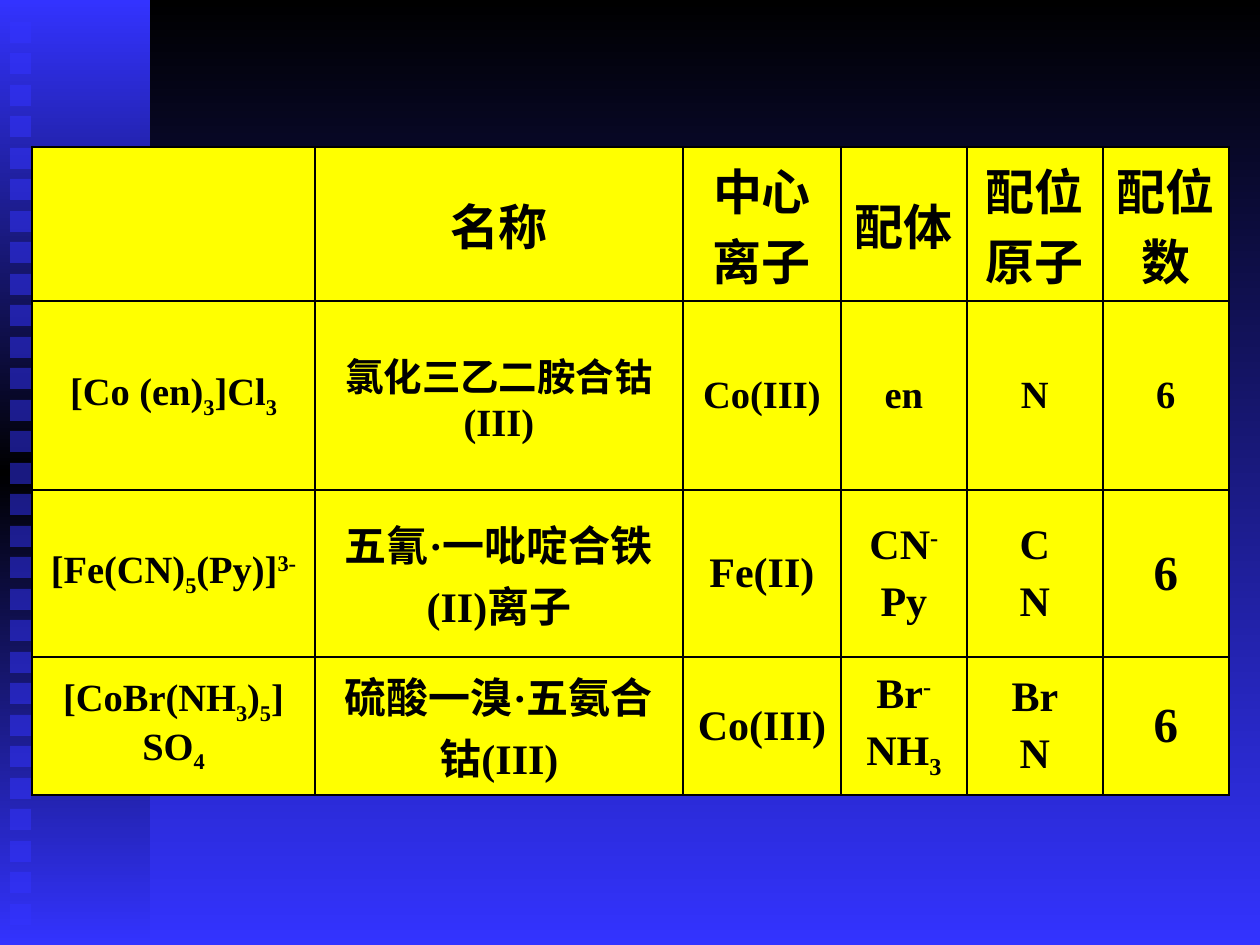
"""Builds a slide with a table of coordination compounds on a blue gradient."""
from copy import deepcopy

from pptx import Presentation
from pptx.dml.color import RGBColor
from pptx.enum.shapes import MSO_SHAPE
from pptx.enum.text import MSO_ANCHOR, PP_ALIGN
from pptx.oxml import parse_xml
from pptx.oxml.ns import nsdecls, qn
from pptx.util import Pt

RECT = MSO_SHAPE.RECTANGLE
MIDDLE = MSO_ANCHOR.MIDDLE
CENTER = PP_ALIGN.CENTER
PX = 914400 // 126
FONT = "Times New Roman"
BLACK, BLUE, YELLOW = "000000", "3333FF", "FFFF00"
BASELINES = {"_": "-25000", "^": "30000"}

ROWS = [
    ["", "名称", "中心离子", "配体", "配位原子", "配位数"],
    ["[Co (en)|_3|]Cl|_3", "氯化三乙二胺合钴(III)", "Co(III)", "en", "N", "6"],
    ["[Fe(CN)|_5|(Py)]|^3-", "五氰·一吡啶合铁(II)离子", "Fe(II)",
     "CN|^-\nPy", "C\nN", "6"],
    ["[CoBr(NH|_3|)|_5|] SO|_4", "硫酸一溴·五氨合钴(III)", "Co(III)",
     "Br|^-\nNH|_3", "Br\nN", "6"],
]
SIZES = [[28] * 6, [22] * 6] + [[22, 24, 24, 24, 24, 28]] * 2
COL_WIDTHS = [283, 368, 158, 126, 136, 126]
ROW_HEIGHTS = [146, 189, 167, 138]
TABLE_LEFT, TABLE_TOP = 32, 147
SQUARE_COUNT, SQUARE_SIZE, SQUARE_LEFT, SQUARE_TOP = 29, 21, 10, 22


def rgb(value):
    return RGBColor.from_string(value)


def set_gradient(fill, element, colors):
    fill.gradient()
    fill.gradient_angle = 270
    stops = element.find(".//" + qn("a:gsLst"))
    while len(stops) < len(colors):
        stops.append(deepcopy(stops[0]))
    for i, (stop, color) in enumerate(zip(fill.gradient_stops, colors)):
        stop.color.rgb = rgb(color)
        stop.position = i / (len(colors) - 1)


def add_rect(s, x, y, w, h):
    sp = s.shapes.add_shape(RECT, x * PX, y * PX, w * PX, h * PX)
    sp.shadow.inherit = False
    sp.line.fill.background()
    return sp


def add_square(s, y):
    sp = add_rect(s, SQUARE_LEFT, y, SQUARE_SIZE, SQUARE_SIZE)
    sp.fill.solid()
    sp.fill.fore_color.rgb = rgb(BLUE)
    color = sp._element.spPr.find(".//" + qn("a:srgbClr"))
    color.append(parse_xml(f'<a:alpha {nsdecls("a")} val="50000"/>'))


def write_text(tf, text, size, color=BLACK, bold=True):
    for i, line in enumerate(text.split("\n")):
        p = tf.add_paragraph() if i else tf.paragraphs[0]
        p.alignment = CENTER
        if i:
            p.space_before = Pt(size / 4)
        for part in filter(None, line.split("|")):
            r = p.add_run()
            r.text = part.lstrip("_^")
            r.font.name, r.font.size, r.font.bold = FONT, Pt(size), bold
            r.font.color.rgb = rgb(color)
            if part[0] in BASELINES:
                r.font._element.set("baseline", BASELINES[part[0]])


def format_cell(cell):
    props = cell._tc.get_or_add_tcPr()
    for side in "LRTB":
        props.append(parse_xml(
            f'<a:ln{side} {nsdecls("a")} w="{Pt(1.47)}"><a:solidFill>'
            f'<a:srgbClr val="{BLACK}"/></a:solidFill></a:ln{side}>'))
    cell.fill.solid()
    cell.fill.fore_color.rgb = rgb(YELLOW)
    cell.vertical_anchor = MIDDLE


def add_compounds(s):
    table = s.shapes.add_table(
        len(ROWS), len(COL_WIDTHS), TABLE_LEFT * PX, TABLE_TOP * PX,
        sum(COL_WIDTHS) * PX, sum(ROW_HEIGHTS) * PX).table
    table.first_row = table.horz_banding = False
    for col, width in zip(table.columns, COL_WIDTHS):
        col.width = width * PX
    for row, height, texts, sizes in zip(table.rows, ROW_HEIGHTS, ROWS, SIZES):
        row.height = height * PX
        for cell, text, size in zip(row.cells, texts, sizes):
            format_cell(cell)
            write_text(cell.text_frame, text, size)


def main():
    prs = Presentation()
    prs.slide_width, prs.slide_height = 1260 * PX, 945 * PX
    s = prs.slides.add_slide(prs.slide_layouts[6])
    set_gradient(s.background.fill, s._element, [BLACK, BLUE])
    band = add_rect(s, 0, 0, 150, 945)
    set_gradient(band.fill, band._element, [BLUE, BLACK, BLUE])
    for i in range(SQUARE_COUNT):
        add_square(s, SQUARE_TOP + i * SQUARE_SIZE * 3 // 2)
    add_compounds(s)
    prs.save("out.pptx")


if __name__ == "__main__":
    main()
